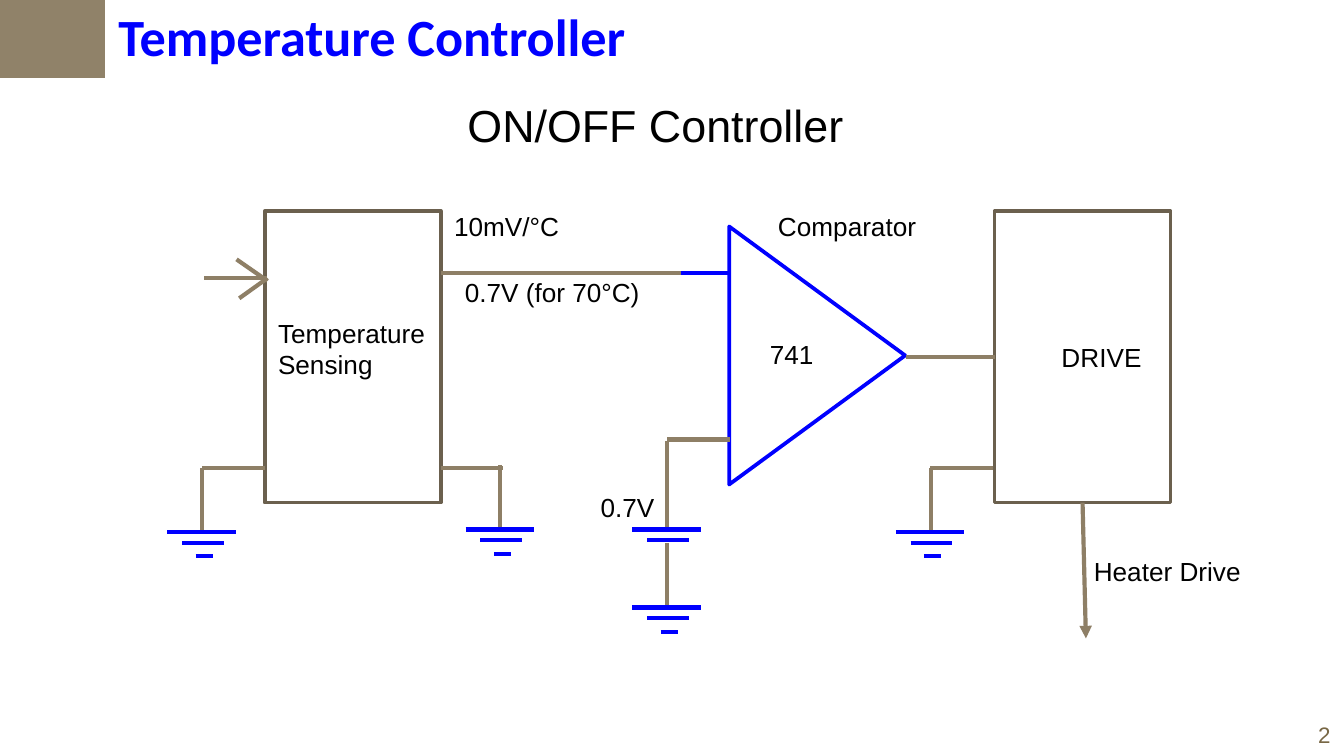
from lxml.etree import SubElement
from pptx import Presentation
from pptx.dml.color import RGBColor
from pptx.enum.shapes import MSO_CONNECTOR as CONNECTOR, MSO_SHAPE as SHAPE
from pptx.enum.text import MSO_ANCHOR as ANCHOR, PP_ALIGN as ALIGN
from pptx.oxml.ns import qn
from pptx.util import Inches, Pt

BLUE, WIRE, OUTLINE = "0000FF", "8E7F66", "6B604E"
BLACK, CORNER, NUMBER = "000000", "908269", "786745"

TITLE = "Temperature Controller"
# text, (left, top, width, height), size, colour, wrap
LABELS = [
    ("ON/OFF Controller", (3.38, 0.68, 3.03, 0.5), 24, BLACK, False),
    ("Temperature Sensing", (1.97, 2.31, 1.31, 0.57), 14, BLACK, True),
    ("10mV/°C", (3.28, 1.52, 0.99, 0.34), 14, BLACK, False),
    ("0.7V (for 70°C)", (3.36, 2.01, 1.51, 0.34), 14, BLACK, False),
    ("0.7V", (4.37, 3.61, 0.61, 0.34), 14, BLACK, False),
    ("Comparator", (5.69, 1.52, 1.23, 0.34), 14, BLACK, False),
    ("741", (5.63, 2.47, 0.53, 0.34), 14, BLACK, False),
    ("DRIVE", (7.8, 2.49, 0.8, 0.34), 14, BLACK, True),
    ("Heater Drive", (8.04, 4.08, 1.3, 0.34), 14, BLACK, False),
    ("2", (9.71, 5.32, 0.29, 0.3), 12, NUMBER, False),
]
# x1, y1, x2, y2
WIRES = [
    (1.52, 2.07, 1.99, 2.07), (1.76, 1.93, 1.99, 2.09), (1.78, 2.22, 1.99, 2.07),  # input
    (1.97, 3.48, 1.5, 3.48), (1.5, 3.48, 1.5, 3.95),     # sensor, left ground
    (3.28, 3.48, 3.74, 3.48), (3.72, 3.46, 3.72, 3.93),  # sensor, right ground
    (3.28, 2.03, 5.43, 2.03),                            # sensor to comparator
    (5.43, 3.27, 4.96, 3.27), (4.96, 3.28, 4.96, 3.95),  # reference voltage
    (4.96, 4.04, 4.96, 4.51),
    (7.39, 3.48, 6.92, 3.48), (6.93, 3.48, 6.93, 3.95),  # drive ground
]
PLATES = [(0.51, 0, 0), (0.31, 0.01, 0.08), (0.13, 0.02, 0.18)]  # width, shift, drop
# centre x, top y, number of plates (two make the battery)
PLATE_STACKS = [(1.5, 3.96, 3), (3.72, 3.94, 3), (4.96, 3.94, 2),
                (4.96, 4.52, 3), (6.92, 3.96, 3)]


def rgb(colour):
    return RGBColor.from_string(colour)


def inches(values):
    return [Inches(value) for value in values]


def add_block(kind, place, fill=None, line=None):
    block = slide.shapes.add_shape(kind, *inches(place))
    block.shadow.inherit = False
    if fill:
        block.fill.solid()
        block.fill.fore_color.rgb = rgb(fill)
    else:
        block.fill.background()
    if line:
        block.line.color.rgb = rgb(line)
        block.line.width = Pt(2)
    else:
        block.line.fill.background()
    return block


def add_line(ends, colour):
    line = slide.shapes.add_connector(CONNECTOR.STRAIGHT, *inches(ends))
    line.line.color.rgb = rgb(colour)
    line.line.width = Pt(2.25)
    SubElement(line._element.spPr, qn("a:effectLst"))
    return line


def write(box, text, size, colour, font="Arial", bold=False, wrap=False):
    frame = box.text_frame
    frame.word_wrap = wrap
    frame.vertical_anchor = ANCHOR.TOP
    para = frame.paragraphs[0]
    para.alignment = ALIGN.LEFT
    span = para.add_run()
    span.text = text
    span.font.name, span.font.size, span.font.bold = font, Pt(size), bold
    span.font.color.rgb = rgb(colour)


deck = Presentation()
deck.slide_width = Inches(10)
deck.slide_height = deck.slide_width * 9 // 16
slide = deck.slides.add_slide(deck.slide_layouts[5])

add_block(SHAPE.RECTANGLE, (0, 0, 0.78, 0.58), fill=CORNER)
title = slide.shapes.title
title.left, title.top, title.width, title.height = inches((0.78, -0.02, 4.87, 0.57))
write(title, TITLE, 28, BLUE, font="Calibri", bold=True)

add_block(SHAPE.RECTANGLE, (1.97, 1.57, 1.31, 2.17), line=OUTLINE)
drive = add_block(SHAPE.RECTANGLE, (7.4, 1.57, 1.31, 2.17), line=OUTLINE)
comparator = add_block(SHAPE.ISOSCELES_TRIANGLE, (5.12, 1.99, 1.92, 1.31), line=BLUE)
comparator.rotation = 90

for ends in WIRES:
    add_line(ends, WIRE)
add_line((5.07, 2.03, 5.43, 2.03), BLUE)
for centre, top, count in PLATE_STACKS:
    for width, shift, drop in PLATES[:count]:
        x, y = centre + shift, top + drop
        add_line((x - width / 2, y, x + width / 2, y), BLUE)

comparator_output = add_line((6.74, 2.66, 7.4, 2.66), WIRE)
comparator_output.end_connect(drive, 1)
comparator_output.begin_y = comparator_output.end_y
heater_arrow = add_line((8.05, 3.74, 8.08, 4.75), WIRE)
heater_arrow.begin_connect(drive, 2)
SubElement(heater_arrow.line._get_or_add_ln(), qn("a:tailEnd"), type="triangle")

for text, place, size, colour, wrap in LABELS:
    write(slide.shapes.add_textbox(*inches(place)), text, size, colour, wrap=wrap)

deck.save("out.pptx")
